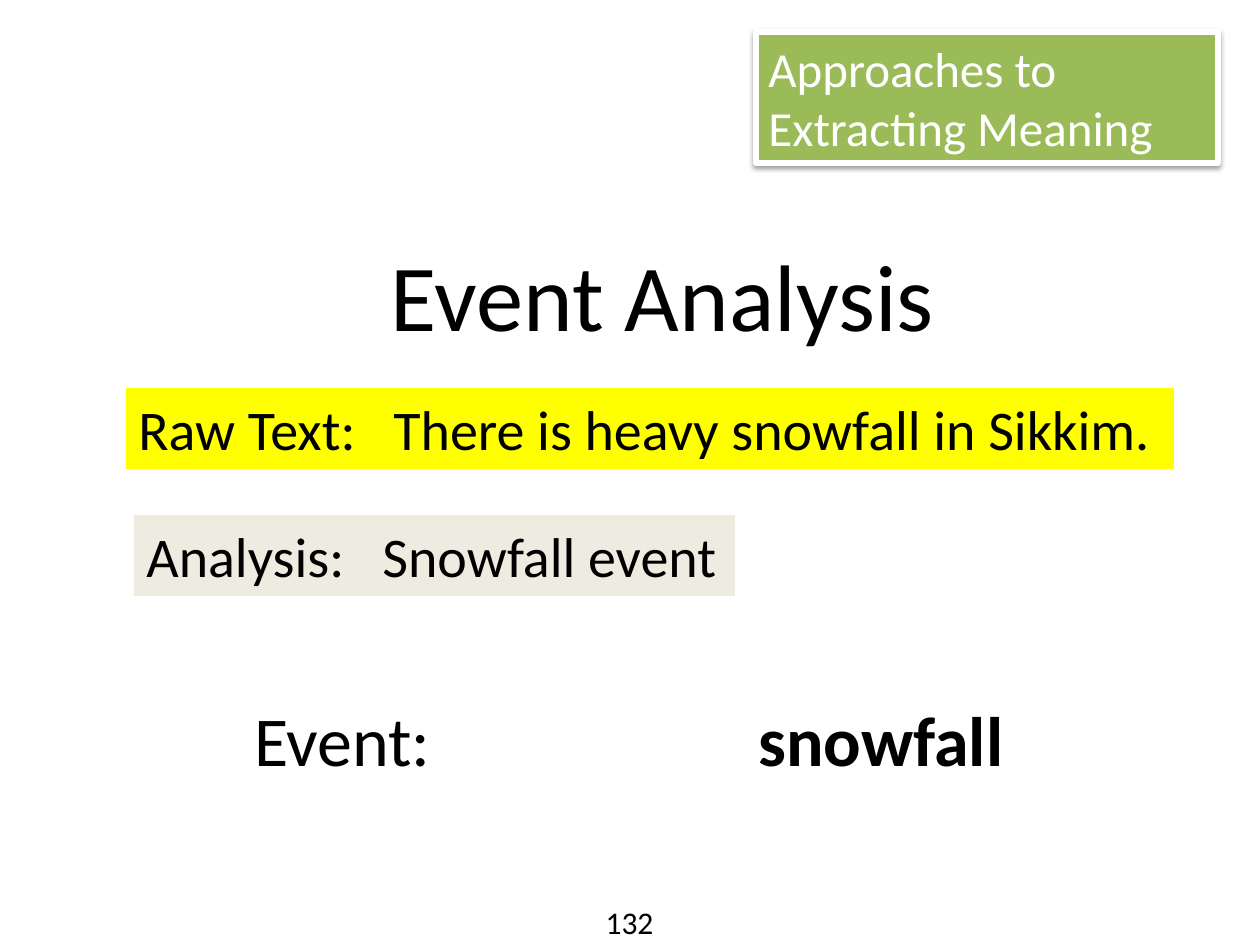
from lxml import etree
from pptx import Presentation
from pptx.dml.color import RGBColor
from pptx.enum.shapes import MSO_SHAPE
from pptx.enum.text import MSO_ANCHOR, MSO_AUTO_SIZE, PP_ALIGN
from pptx.oxml.ns import qn
from pptx.util import Emu, Pt

RECTANGLE = MSO_SHAPE.RECTANGLE
TOP = MSO_ANCHOR.TOP
NO_AUTOFIT = MSO_AUTO_SIZE.NONE
LEFT, CENTER = PP_ALIGN.LEFT, PP_ALIGN.CENTER

EMU_PER_PX = 914400 / 126
TITLE_ONLY = 5
COLORS = {
    "text": "000000",
    "light": "FFFFFF",
    "topic": "9BBB59",
    "raw": "FFFF00",
    "analysis": "EEECE1",
}


def px(length):
    return Emu(round(length * EMU_PER_PX))


def color(name):
    return RGBColor.from_string(COLORS[name])


class SlideBuilder:
    """Holds the text style and the slide being filled."""

    font_name = "Calibri"

    def __init__(self, slide):
        self.slide = slide

    def set_text(self, shape, runs, size, ink="text", align=LEFT, tab=None):
        """Fill a shape with (text, bold) runs; tab is a stop in px."""
        frame = shape.text_frame
        frame_format = {"word_wrap": True, "auto_size": NO_AUTOFIT,
                        "vertical_anchor": TOP}
        for name, value in frame_format.items():
            setattr(frame, name, value)
        paragraph = frame.paragraphs[0]
        paragraph.alignment = align
        if tab:
            stops = etree.SubElement(paragraph._p.get_or_add_pPr(), qn("a:tabLst"))
            etree.SubElement(stops, qn("a:tab"), pos=str(px(tab)), algn="l")
        for text, bold in runs:
            run = paragraph.add_run()
            run.text = text
            font_format = {"name": self.font_name, "size": Pt(size), "bold": bold}
            for name, value in font_format.items():
                setattr(run.font, name, value)
            run.font.color.rgb = color(ink)

    def title(self, box, text, size):
        heading = self.slide.shapes.title
        for name, value in zip(("left", "top", "width", "height"), box):
            setattr(heading, name, px(value))
        self.set_text(heading, [(text, False)], size)

    def text(self, box, runs, size, **style):
        label = self.slide.shapes.add_textbox(*map(px, box))
        self.set_text(label, runs, size, **style)

    def panel(self, box, fill, text, size, **style):
        panel = self.slide.shapes.add_shape(RECTANGLE, *map(px, box))
        panel.shadow.inherit = False
        panel.fill.solid()
        panel.fill.fore_color.rgb = color(fill)
        panel.line.fill.background()
        self.set_text(panel, [(text, False)], size, **style)
        return panel

    def raised_panel(self, box, fill, text, size):
        """Add a panel with a white frame and a soft shadow below it."""
        panel = self.panel(box, fill, text, size, ink="light")
        panel.line.color.rgb = color("light")
        panel.line.width = Pt(3)
        effects = panel._element.spPr.find(qn("a:effectLst"))
        shadow = etree.SubElement(
            effects, qn("a:outerShdw"), blurRad=str(Pt(3.1)), dist=str(Pt(1.6)),
            dir="5400000", rotWithShape="0")
        shade = etree.SubElement(shadow, qn("a:srgbClr"), val=COLORS["text"])
        etree.SubElement(shade, qn("a:alpha"), val="38000")


def main():
    deck = Presentation()
    deck.slide_width, deck.slide_height = px(1260), px(945)
    page = SlideBuilder(deck.slides.add_slide(deck.slide_layouts[TITLE_ONLY]))

    page.title((378, 231, 575, 127), "Event Analysis", 54)
    page.raised_panel((756, 32, 462, 131), "topic",
                      "Approaches to Extracting Meaning", 28)
    page.panel((126, 388, 1048, 81), "raw",
               "Raw Text:\tThere is heavy snowfall in Sikkim.", 32, tab=255)
    page.panel((134, 515, 601, 81), "analysis",
               "Analysis:\tSnowfall event", 32, tab=236)
    page.text((242, 690, 782, 97), [("Event:\t", False), ("snowfall", True)],
              40, tab=504)
    page.text((577, 897, 105, 50), [("132", False)], 18, align=CENTER)

    deck.save("out.pptx")


if __name__ == "__main__":
    main()
